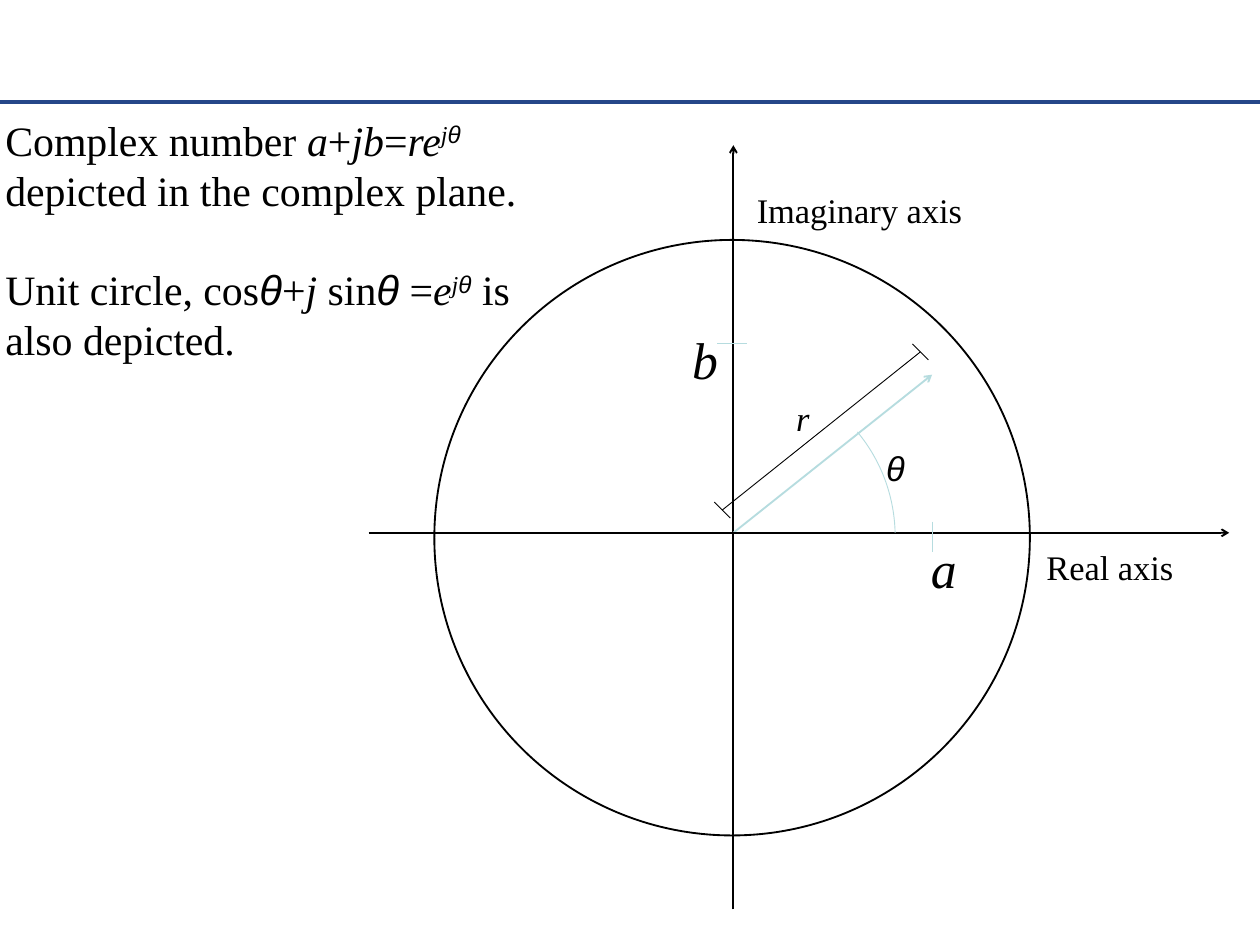
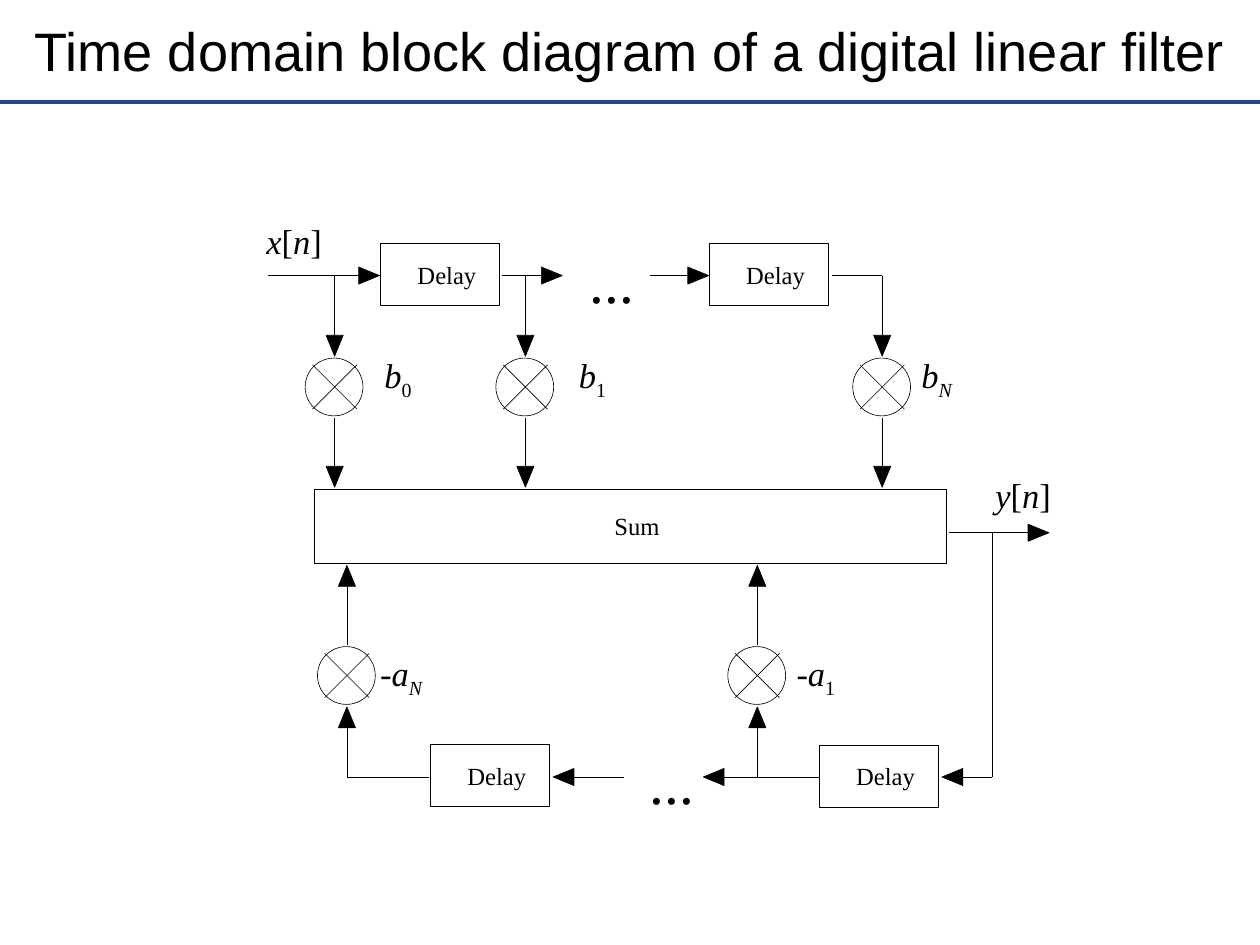
from dataclasses import dataclass
from math import hypot

from lxml import etree
from pptx import Presentation
from pptx.dml.color import RGBColor
from pptx.enum.shapes import MSO_CONNECTOR, MSO_SHAPE
from pptx.enum.text import MSO_ANCHOR, MSO_AUTO_SIZE, PP_ALIGN
from pptx.oxml.ns import qn
from pptx.util import Pt

STRAIGHT = MSO_CONNECTOR.STRAIGHT
RECTANGLE, OVAL, ARC = MSO_SHAPE.RECTANGLE, MSO_SHAPE.OVAL, MSO_SHAPE.ARC
MIDDLE, TOP = MSO_ANCHOR.MIDDLE, MSO_ANCHOR.TOP
LEFT, CENTER = PP_ALIGN.LEFT, PP_ALIGN.CENTER
FIXED, GROW = MSO_AUTO_SIZE.NONE, MSO_AUTO_SIZE.SHAPE_TO_FIT_TEXT


@dataclass(frozen=True)
class Theme:
    ink: RGBColor = RGBColor(0x00, 0x00, 0x00)
    paper: RGBColor = RGBColor(0xFF, 0xFF, 0xFF)
    rule: RGBColor = RGBColor(0x25, 0x47, 0x89)
    accent: RGBColor = RGBColor(0xB6, 0xDC, 0xDF)
    sans: str = "Arial"
    serif: str = "Times New Roman"
    title: float = 44
    statement: float = 34
    dots: float = 48
    coordinate: float = 42
    label: float = 28
    block: float = 20
    axis_line: float = 1.5
    thin_line: float = 0.75
    wire: float = 0.5


THEME = Theme()
WIDTH, HEIGHT = 1024, 768
RULE_Y = 83
STATEMENT_PITCH = 40.6
LABEL_INSET = (10, 5, 10, 5)
MATH = {"italic": True}
SUPER = {"italic": True, "baseline": 30000}
SUB = {"baseline": -25000}
SUB_MATH = {"italic": True, "baseline": -25000}
THETA = ("θ", {"italic": True, "font": THEME.sans})
SUPER_THETA = ("θ", {**SUPER, "font": THEME.sans})


def add_text(paragraph, text, *, size, font=THEME.serif, italic=False, baseline=None):
    run = paragraph.add_run()
    run.text = text
    run.font.size = Pt(size)
    run.font.name = font
    run.font.italic = italic
    run.font.color.rgb = THEME.ink
    if baseline is not None:
        run._r.get_or_add_rPr().set("baseline", str(baseline))


class Deck:
    def __init__(self):
        self.presentation = Presentation()
        self.presentation.slide_width = Pt(WIDTH)
        self.presentation.slide_height = Pt(HEIGHT)
        self.slide = None

    def new_slide(self):
        title_only = self.presentation.slide_layouts[5]
        self.slide = self.presentation.slides.add_slide(title_only)
        self.line((0, RULE_Y), (WIDTH, RULE_Y), THEME.rule, 3)

    def fill_frame(self, frame, paragraphs, size, *, inset=(7.2, 3.6, 7.2, 3.6),
                   anchor=TOP, align=CENTER, wrap=False, fit=FIXED, pitch=None):
        frame.word_wrap = wrap
        frame.auto_size = fit
        frame.vertical_anchor = anchor
        (frame.margin_left, frame.margin_top,
         frame.margin_right, frame.margin_bottom) = map(Pt, inset)
        for index, runs in enumerate(paragraphs):
            paragraph = frame.add_paragraph() if index else frame.paragraphs[0]
            paragraph.alignment = align
            if pitch:
                paragraph.line_spacing = Pt(pitch)
                paragraph.space_before = Pt(pitch if index else 0)
            for text, style in runs:
                add_text(paragraph, text, **{"size": size, **style})

    def title(self, box, paragraphs, size, align=CENTER, pitch=None):
        title = self.slide.shapes.title
        title.left, title.top, title.width, title.height = map(Pt, box)
        self.fill_frame(title.text_frame, paragraphs, size, inset=(4.3,) * 4,
                        anchor=MIDDLE, align=align, wrap=True, pitch=pitch)

    def label(self, box, runs, size=THEME.label, **frame_format):
        label = self.slide.shapes.add_textbox(*map(Pt, box))
        self.fill_frame(label.text_frame, [runs], size, fit=GROW, **frame_format)

    def shape(self, kind, box, color, width, fill=None):
        shape = self.slide.shapes.add_shape(kind, *map(Pt, box))
        self.paint(shape, color, width, fill)
        return shape

    def paint(self, shape, color, width, fill=None):
        shape.shadow.inherit = False
        if fill is None:
            shape.fill.background()
        else:
            shape.fill.solid()
            shape.fill.fore_color.rgb = fill
        shape.line.color.rgb = color
        shape.line.width = Pt(width)

    def line(self, start, end, color=THEME.ink, width=THEME.wire, head=None):
        line = self.slide.shapes.add_connector(STRAIGHT, *map(Pt, (*start, *end)))
        line.line.color.rgb = color
        line.line.width = Pt(width)
        properties = line._element.spPr
        if head:
            outline = properties.find(qn("a:ln"))
            etree.SubElement(outline, qn("a:tailEnd"), type=head)
        etree.SubElement(properties, qn("a:effectLst"))

    def signal(self, start, end, head_length=17, half_width=7):
        (x0, y0), (x1, y1) = start, end
        length = hypot(x1 - x0, y1 - y0)
        ux, uy = (x1 - x0) / length, (y1 - y0) / length
        base_x, base_y = x1 - head_length * ux, y1 - head_length * uy
        self.line(start, (base_x, base_y))
        corners = [(base_x - side * uy, base_y + side * ux)
                   for side in (half_width, -half_width)]
        builder = self.slide.shapes.build_freeform(Pt(x1), Pt(y1))
        builder.add_line_segments([(Pt(x), Pt(y)) for x, y in corners], close=True)
        self.paint(builder.convert_to_shape(), THEME.ink, THEME.wire, THEME.ink)

    def block(self, box, text):
        block = self.shape(RECTANGLE, box, THEME.ink, THEME.wire, THEME.paper)
        self.fill_frame(block.text_frame, [[(text, {})]], THEME.block,
                        inset=(11, 0, 0, 0), anchor=MIDDLE)

    def multiplier(self, x, y, diameter=47, reach=18):
        self.shape(OVAL, (x - 24, y - diameter / 2, diameter, diameter),
                   THEME.ink, THEME.wire, THEME.paper)
        for slope in (1, -1):
            self.line((x - reach, y - slope * reach), (x + reach, y + slope * reach))


def complex_plane(deck):
    deck.new_slide()
    polar_form = [("Complex number ", {}), ("a", MATH), ("+", {}), ("jb", MATH),
                  ("=", {}), ("re", MATH), ("j", SUPER), SUPER_THETA,
                  (" depicted in the complex plane.", {})]
    unit_form = [("Unit circle, cos", {}), THETA, ("+", {}), ("j", MATH),
                 (" sin", {}), THETA, (" =", {}), ("e", MATH), ("j", SUPER),
                 SUPER_THETA, (" is also depicted.", {})]
    deck.title((0, 28, 449, 333), [polar_form, unit_form], THEME.statement,
               align=LEFT, pitch=STATEMENT_PITCH)

    origin_x, origin_y = 596, 433
    point_x, point_y = 757.5, 304.5
    deck.shape(OVAL, (353, 195, 484, 484), THEME.ink, THEME.axis_line)
    for start, end, color in (
        ((origin_x, 739), (origin_x, 118), THEME.ink),
        ((origin_x, origin_y), (point_x, point_y), THEME.accent),
        ((299.5, origin_y), (999, origin_y), THEME.ink),
    ):
        deck.line(start, end, color, THEME.axis_line, head="arrow")

    angle = deck.shape(ARC, (461.5, 303, 266, 266), THEME.accent, THEME.thin_line)
    angle.rotation = 270
    angle.adjustments[0], angle.adjustments[1] = 30.18, 53.2

    radius_ends = ((748, 286), (587, 414.5))
    deck.line(*radius_ends, width=THEME.thin_line)
    for x, y in radius_ends:
        deck.line((x - 6.5, y - 6.5), (x + 6.5, y + 6.5), width=THEME.thin_line)
    for start, end in (((583, 279.5), (607, 279.5)),
                       ((point_x, 424), (point_x, 448.5))):
        deck.line(start, end, THEME.accent, THEME.thin_line)

    for box, run, size in (
        ((713, 360, 29.5, 41), THETA, THEME.label),
        ((607, 150.5, 183, 41), ("Imaginary axis", {}), THEME.label),
        ((842.5, 440.5, 119, 41), ("Real axis", {}), THEME.label),
        ((640, 319.5, 25, 41), ("r", MATH), THEME.label),
        ((749, 433, 36, 58), ("a", MATH), THEME.coordinate),
        ((555, 263, 36, 58), ("b", MATH), THEME.coordinate),
    ):
        deck.label(box, [run], size)


def filter_diagram(deck):
    deck.new_slide()
    deck.title((0, 4.5, WIDTH, 72.5),
               [[("Time domain block diagram of a digital linear filter",
                  {"font": THEME.sans})]], THEME.title)

    input_y, output_y, feedback_y = 224, 433, 631.5
    forward_taps, feedback_taps = (272, 427, 717), (282, 615.5)
    output_x = 806.5

    for x, y in ((309.5, 198), (576.5, 198), (350, 605), (666, 605.5)):
        deck.block((x, y, 96.5, 50.5), "Delay")
    deck.block((255.5, 397.5, 513.5, 60), "Sum")

    for x in forward_taps:
        deck.signal((x, input_y), (x, 289.5))
        deck.multiplier(x, 314.5)
        deck.signal((x, 340), (x, 396))
    for x in feedback_taps:
        deck.signal((x, feedback_y), (x, 574.5))
        deck.multiplier(x, 549)
        deck.signal((x, 524.5), (x, 459.5))

    for y, spans in (
        (input_y, ((217.5, 308.5), (408, 457), (528.5, 576))),
        (output_y, ((771, 852.5),)),
        (feedback_y, ((output_x, 765.5), (665.5, 571.5), (507.5, 449.5))),
    ):
        for start, end in spans:
            deck.signal((start, y), (end, y))
    deck.line((676, input_y), (forward_taps[-1], input_y))
    deck.line((output_x, output_y), (output_x, feedback_y))
    deck.line((feedback_taps[0], feedback_y), (349, feedback_y))

    for x, y in ((479.5, 198.5), (528, 606)):
        deck.label((x, y, 36, 58.5), [("...", {})], THEME.dots, inset=(0,) * 4)
    for x, y, name in ((206, 174, "x"), (798.5, 380, "y")):
        deck.label((x, y, 66, 44),
                   [(name, MATH), ("[", {}), ("n", MATH), ("]", {})],
                   inset=LABEL_INSET)
    for x, y, width, name, index, style in (
        (301.5, 283, 44, "b", "0", SUB),
        (459.5, 283, 44, "b", "1", SUB),
        (737.5, 283, 47.5, "b", "N", SUB_MATH),
        (297.5, 525, 57, "-a", "N", SUB_MATH),
        (636, 525, 54, "-a", "1", SUB),
    ):
        deck.label((x, y, width, 44), [(name, MATH), (index, style)],
                   inset=LABEL_INSET)


def main():
    deck = Deck()
    complex_plane(deck)
    filter_diagram(deck)
    deck.presentation.save("out.pptx")


if __name__ == "__main__":
    main()
